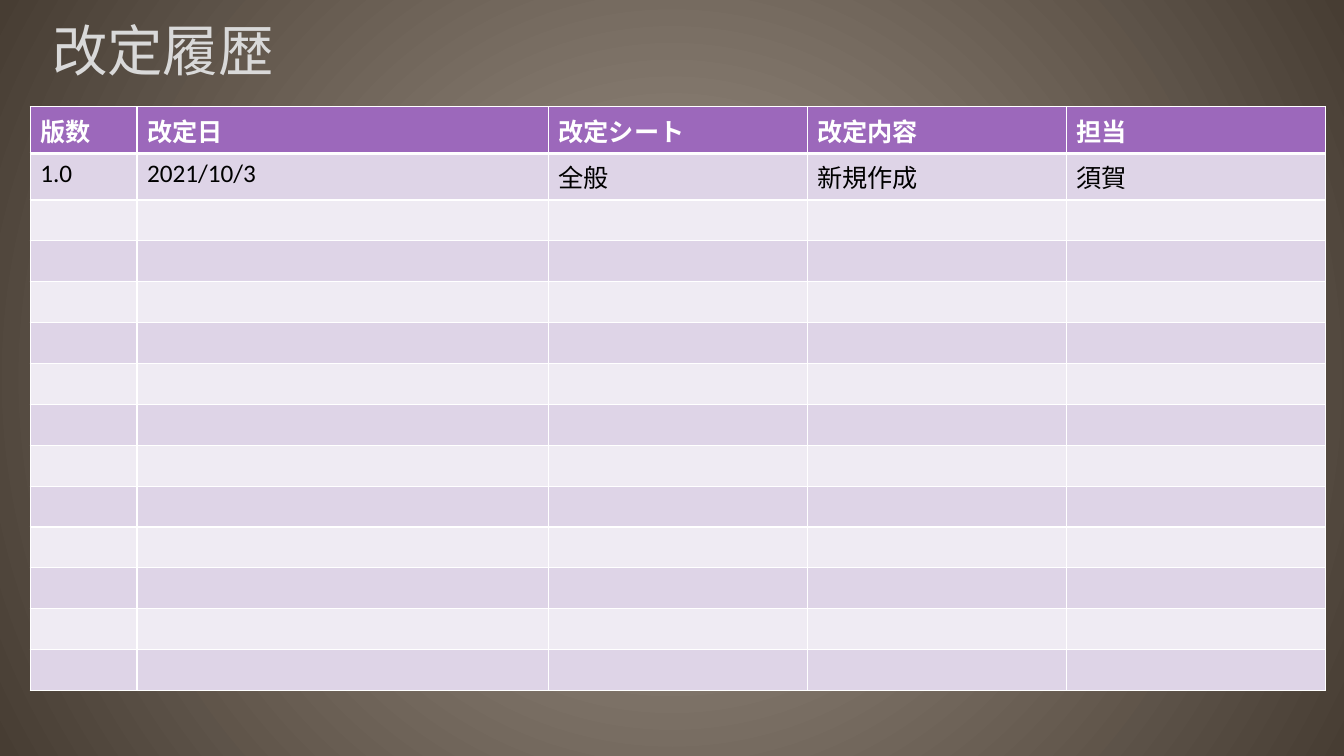
from dataclasses import dataclass

from lxml import etree
from pptx import Presentation
from pptx.dml.color import RGBColor
from pptx.enum import text
from pptx.oxml.ns import qn
from pptx.util import Pt

FONT = "Calibri"
WHITE = "FFFFFF"


@dataclass(frozen=True)
class RowStyle:
    fill: str
    color: str = "000000"
    bold: bool = False
    top: float = 1
    bottom: float = 1


HEADER = RowStyle("9C68BB", WHITE, bold=True, bottom=3)
FIRST = RowStyle("DED4E7", top=3)
DARK = RowStyle("DED4E7")
LIGHT = RowStyle("EFEBF3")

ROW_COUNT = 14
ROW_HEIGHT = 29.2
COLUMN_WIDTHS = [76.3, 293.8, 185, 185, 185]
ENTRIES = [
    ["版数", "改定日", "改定シート", "改定内容", "担当"],
    ["1.0", "2021/10/3", "全般", "新規作成", "須賀"],
]


def rgb(value: str) -> RGBColor:
    return RGBColor.from_string(value)


def add_run(p, content: str, size: float, color: str, bold: bool = False) -> None:
    r = p.add_run()
    r.text = content
    r.font.name = FONT
    r.font.size = Pt(size)
    r.font.bold = bold
    r.font.color.rgb = rgb(color)


def set_borders(cell, style: RowStyle) -> None:
    tc_pr = cell._tc.get_or_add_tcPr()
    widths = {"lnL": 1, "lnR": 1, "lnT": style.top, "lnB": style.bottom}
    for i, (side, width) in enumerate(widths.items()):
        ln = etree.Element(qn(f"a:{side}"), w=str(Pt(width)))
        fill = etree.SubElement(ln, qn("a:solidFill"))
        etree.SubElement(fill, qn("a:srgbClr"), val=WHITE)
        tc_pr.insert(i, ln)


def draw_cell(cell, content: str, style: RowStyle) -> None:
    cell.fill.solid()
    cell.fill.fore_color.rgb = rgb(style.fill)
    set_borders(cell, style)
    p = cell.text_frame.paragraphs[0]
    if content:
        add_run(p, content, 18, style.color, style.bold)
    else:
        p.font.size = Pt(18)


def set_background(s, inner: str, outer: str) -> None:
    fill = s.background.fill
    fill.gradient()
    for stop, color in zip(fill.gradient_stops, (inner, outer)):
        stop.color.rgb = rgb(color)
    lin = next(s.element.iter(qn("a:lin")))
    radial = etree.Element(qn("a:path"), {"path": "circle"})
    etree.SubElement(radial, qn("a:fillToRect"), dict.fromkeys("ltrb", "50000"))
    lin.getparent().replace(lin, radial)


# Slide and background
prs = Presentation()
prs.slide_width, prs.slide_height = Pt(960), Pt(540)
s = prs.slides.add_slide(prs.slide_layouts[5])
set_background(s, "A3978B", "473D33")

# Title
title = s.shapes.title
title.left, title.top, title.width, title.height = Pt(30), Pt(13.5), Pt(828), Pt(50)
tf = title.text_frame
tf.auto_size = text.MSO_AUTO_SIZE.NONE
tf.vertical_anchor = text.MSO_ANCHOR.MIDDLE
p = tf.paragraphs[0]
p.alignment = text.PP_ALIGN.LEFT
p.line_spacing = 0.9
add_run(p, "改定履歴", 39.6, "D9D9D9")

# Revision table
table = s.shapes.add_table(
    ROW_COUNT, len(COLUMN_WIDTHS), Pt(21.6), Pt(76.3),
    Pt(sum(COLUMN_WIDTHS)), Pt(ROW_HEIGHT * ROW_COUNT),
).table
for column, width in zip(table.columns, COLUMN_WIDTHS):
    column.width = Pt(width)
styles = [HEADER, FIRST] + [DARK if i % 2 else LIGHT for i in range(2, ROW_COUNT)]
blank = [""] * len(COLUMN_WIDTHS)
for i, (row, style) in enumerate(zip(table.rows, styles)):
    row.height = Pt(ROW_HEIGHT)
    entry = ENTRIES[i] if i < len(ENTRIES) else blank
    for cell, content in zip(row.cells, entry):
        draw_cell(cell, content, style)

prs.save("out.pptx")
